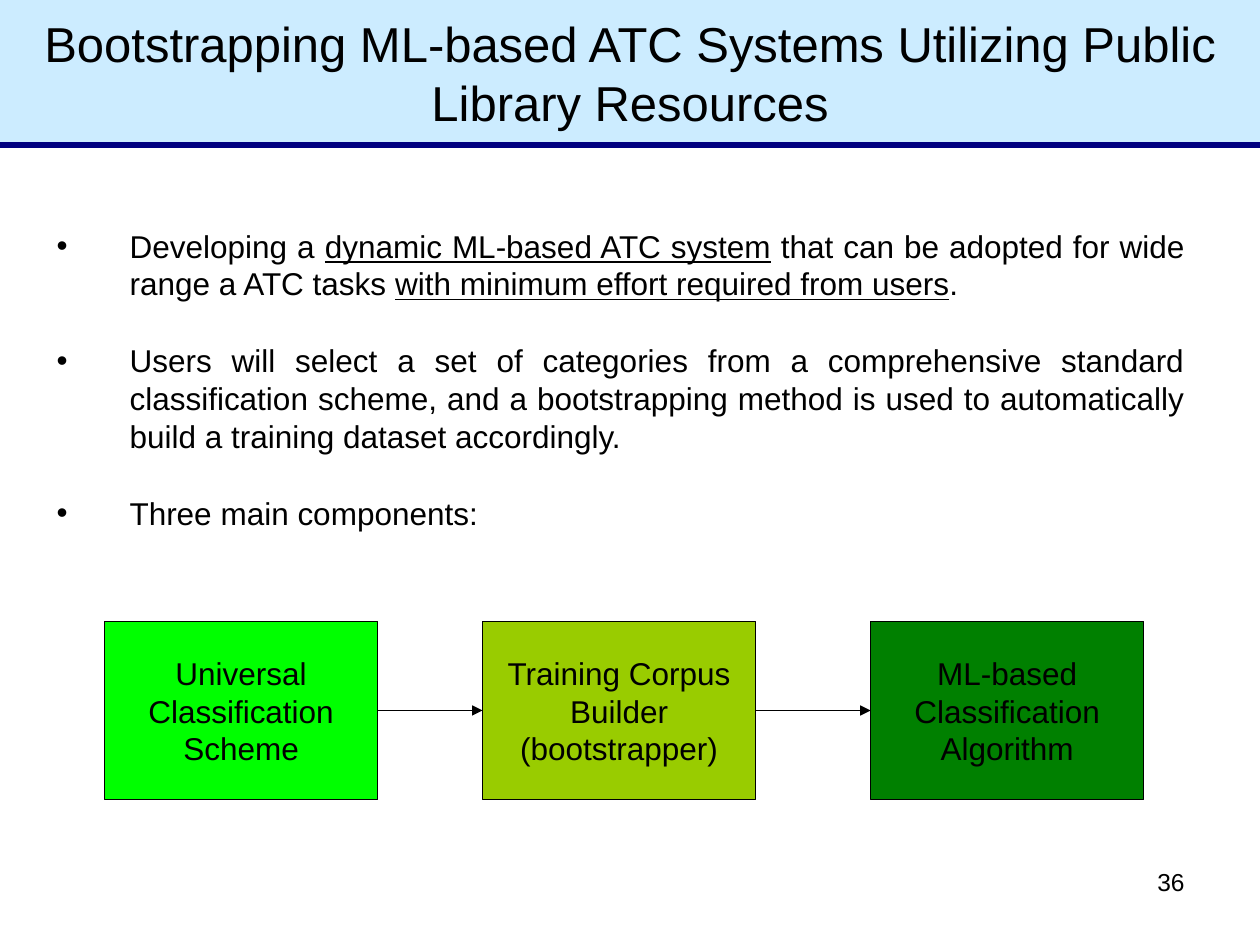
from pptx import Presentation, util as u
from pptx.dml.color import RGBColor
from pptx.enum import shapes, text
from pptx.oxml.ns import qn
from lxml import etree

Pt = u.Pt
COLORS = {"ink": "000000", "banner": "CCECFF", "rule": "000080",
          "scheme": "00FF00", "builder": "99CC00", "algorithm": "008000"}


def add_run(paragraph, words, size=18, underline=False):
    run = paragraph.add_run()
    run.text = words
    run.font.name = "Arial"
    run.font.size = Pt(size)
    run.font.color.rgb = RGBColor.from_string(COLORS["ink"])
    if underline:
        run.font.underline = True


def add_line(x1, y1, x2, y2, color, width):
    line = slide.shapes.add_connector(
        shapes.MSO_CONNECTOR.STRAIGHT, Pt(x1), Pt(y1), Pt(x2), Pt(y2))
    line.line.color.rgb = RGBColor.from_string(COLORS[color])
    line.line.width = Pt(width)
    etree.SubElement(line._element.spPr, qn("a:effectLst"))
    return line


deck = Presentation()
deck.slide_width, deck.slide_height = Pt(720), Pt(540)
slide = deck.slides.add_slide(deck.slide_layouts[5])

# Title banner with its rule
title = slide.shapes.title
title.left, title.top, title.width, title.height = Pt(0), Pt(0), Pt(720), Pt(82.8)
title.fill.solid()
title.fill.fore_color.rgb = RGBColor.from_string(COLORS["banner"])
title.text_frame.auto_size = text.MSO_AUTO_SIZE.NONE
title.text_frame.vertical_anchor = text.MSO_ANCHOR.MIDDLE
heading = title.text_frame.paragraphs[0]
heading.alignment = text.PP_ALIGN.CENTER
add_run(heading, "Bootstrapping ML-based ATC Systems Utilizing Public Library Resources", 28)
add_line(0, 82.8, 720, 82.8, "rule", 3)

# Bulleted goals: each is a list of (words, underlined)
goals = [
    [("Developing a ", False), ("dynamic ML-based ATC system", True),
     (" that can be adopted for wide range a ATC tasks ", False),
     ("with minimum effort required from users", True), (".", False)],
    [("Users will select a set of categories from a comprehensive standard "
      "classification scheme, and a bootstrapping method is used to automatically "
      "build a training dataset accordingly.", False)],
    [("Three main components:", False)],
]
body = slide.shapes.add_textbox(Pt(25.2), Pt(126), Pt(658.8), Pt(285.84)).text_frame
body.word_wrap = True
for index, goal in enumerate(goals):
    bullet = body.add_paragraph() if index else body.paragraphs[0]
    bullet.alignment = text.PP_ALIGN.JUSTIFY
    props = bullet._p.get_or_add_pPr()
    props.set("marL", str(Pt(41.76)))
    props.set("indent", str(-Pt(41.76)))
    bullet_color = etree.SubElement(props, qn("a:buClr"))
    etree.SubElement(bullet_color, qn("a:srgbClr"), val=COLORS["ink"])
    etree.SubElement(props, qn("a:buFont"), typeface="Arial")
    etree.SubElement(props, qn("a:buChar"), char="•")
    bullet.space_before = Pt(11.2 if index else 0)
    bullet.space_after = Pt(11.2)
    for words, underlined in goal:
        add_run(bullet, words, underline=underlined)

# Three components
components = [
    ("Universal Classification Scheme", "scheme", 59.76),
    ("Training Corpus Builder (bootstrapper)", "builder", 275.76),
    ("ML-based Classification Algorithm", "algorithm", 497.52),
]
stages = []
for label, color, left in components:
    stage = slide.shapes.add_shape(
        shapes.MSO_SHAPE.RECTANGLE, Pt(left), Pt(355), Pt(156), Pt(102))
    stage.shadow.inherit = False
    stage.fill.solid()
    stage.fill.fore_color.rgb = RGBColor.from_string(COLORS[color])
    stage.line.color.rgb = RGBColor.from_string(COLORS["ink"])
    stage.line.width = Pt(0.75)
    stage.text_frame.word_wrap = True
    stage.text_frame.vertical_anchor = text.MSO_ANCHOR.MIDDLE
    caption = stage.text_frame.paragraphs[0]
    caption.alignment = text.PP_ALIGN.CENTER
    add_run(caption, label)
    stages.append(stage)

# Arrows from each component to the next
for source, target in zip(stages, stages[1:]):
    arrow = add_line(0, 0, 0, 0, "ink", 0.75)
    arrow.begin_connect(source, 3)
    arrow.end_connect(target, 1)
    etree.SubElement(arrow.line._get_or_add_ln(), qn("a:tailEnd"), type="triangle")

# Page number
page_number = slide.shapes.add_textbox(Pt(516.24), Pt(491.76), Pt(167.76), Pt(37.44)).text_frame
page_number.word_wrap = True
page_number.paragraphs[0].alignment = text.PP_ALIGN.RIGHT
add_run(page_number.paragraphs[0], "36", 14)

deck.save("out.pptx")
